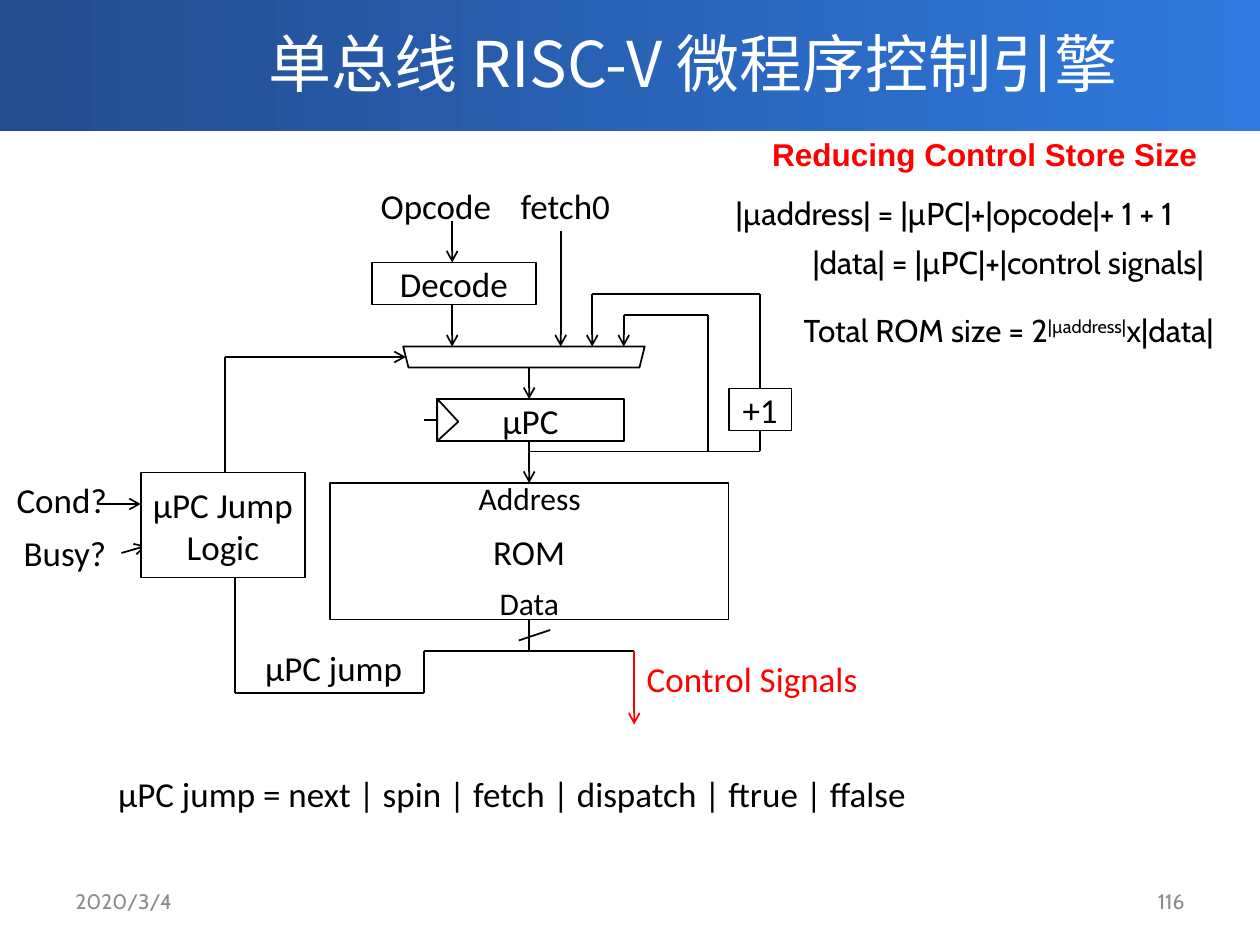
from dataclasses import dataclass
from itertools import pairwise

from lxml.etree import SubElement
from pptx import Presentation
from pptx.dml.color import RGBColor
from pptx.enum.shapes import MSO_CONNECTOR, MSO_SHAPE
from pptx.enum.text import MSO_ANCHOR, MSO_AUTO_SIZE, PP_ALIGN
from pptx.oxml.ns import qn
from pptx.util import Pt

STRAIGHT = MSO_CONNECTOR.STRAIGHT
RECTANGLE, TRAPEZOID = MSO_SHAPE.RECTANGLE, MSO_SHAPE.TRAPEZOID
TRIANGLE = MSO_SHAPE.ISOSCELES_TRIANGLE
MIDDLE, GROW = MSO_ANCHOR.MIDDLE, MSO_AUTO_SIZE.SHAPE_TO_FIT_TEXT
LEFT, CENTER, RIGHT = PP_ALIGN.LEFT, PP_ALIGN.CENTER, PP_ALIGN.RIGHT


@dataclass(frozen=True)
class Theme:
    """Colours, fonts and type sizes of the slide."""
    ink: str = "000000"
    paper: str = "FFFFFF"
    accent: str = "FF0000"
    muted: str = "8C8C8C"
    band: tuple = ("234B8D", "2F7ADF")
    title_font: str = "Noto Sans CJK SC"
    diagram_font: str = "Calibri"
    formula_font: str = "Cabin"
    heading_font: str = "Arial"
    title_size: int = 36
    label_size: int = 20
    small_size: int = 18
    footer_size: int = 12
    line_width: int = 1


THEME = Theme()


@dataclass(frozen=True)
class Box:
    """A region in points."""
    x: float
    y: float
    w: float
    h: float

    def inside(self, x, y, w, h):
        """Return a frame, given relative to this box, as slide lengths."""
        return Pt(self.x + x), Pt(self.y + y), Pt(w), Pt(h)


def apply(target, values):
    """Set every attribute in values on target."""
    for attribute, value in values.items():
        setattr(target, attribute, value)


def write(frame, pieces, font, size, color=THEME.ink, align=LEFT, bold=False, **layout):
    """Write (text, baseline) pieces as one paragraph."""
    apply(frame, layout)
    paragraph = frame.paragraphs[0]
    paragraph.alignment = align
    for text, baseline in pieces:
        run = paragraph.add_run()
        run.text = text
        apply(run.font, {"name": font, "size": Pt(size), "bold": bold})
        run.font.color.rgb = RGBColor.from_string(color)
        properties = run._r.get_or_add_rPr()
        SubElement(properties, qn("a:ea"), typeface=font)
        if baseline:
            properties.set("baseline", str(baseline * 1000))


def add_label(slide, frame, pieces, font, size, **style):
    """Add a text box, growing on one line unless the style says otherwise."""
    label = slide.shapes.add_textbox(*frame)
    layout = {"word_wrap": False, "auto_size": GROW} | style
    write(label.text_frame, pieces, font, size, **layout)


def add_block(slide, frame, text="", preset=RECTANGLE, rotation=0):
    """Add an outlined diagram block with centred text and return it."""
    block = slide.shapes.add_shape(preset, *frame)
    block.shadow.inherit = False
    block.rotation = rotation
    block.fill.solid()
    block.fill.fore_color.rgb = RGBColor.from_string(THEME.paper)
    block.line.color.rgb = RGBColor.from_string(THEME.ink)
    block.line.width = Pt(THEME.line_width)
    if text:
        margins = {f"margin_{side}": 0 for side in ("left", "top", "right", "bottom")}
        write(block.text_frame, [(text, 0)], THEME.diagram_font, THEME.label_size,
              align=CENTER, vertical_anchor=MIDDLE, word_wrap=True, **margins)
    return block


def add_wire(slide, box, points, arrow=False, color=THEME.ink):
    """Join points with straight connectors, with an optional arrowhead at the end."""
    for (x1, y1), (x2, y2) in pairwise(points):
        wire = slide.shapes.add_connector(
            STRAIGHT, Pt(box.x + x1), Pt(box.y + y1), Pt(box.x + x2), Pt(box.y + y2))
        wire.line.color.rgb = RGBColor.from_string(color)
        wire.line.width = Pt(THEME.line_width)
        if arrow and (x2, y2) == points[-1]:
            SubElement(wire.line._get_or_add_ln(), qn("a:tailEnd"), type="arrow")
        SubElement(wire._element.spPr, qn("a:effectLst"))


def add_header(slide, box):
    """Draw the gradient band and the slide title."""
    band = slide.shapes.add_shape(RECTANGLE, *box.inside(0, 0, box.w, box.h))
    band.shadow.inherit = False
    band.line.fill.background()
    band.fill.gradient()
    band.fill.gradient_angle = 0
    for stop, color in zip(band.fill.gradient_stops, THEME.band):
        stop.color.rgb = RGBColor.from_string(color)
    add_label(slide, box.inside(72, 2, box.w - 72, 71.3), [("单总线 RISC-V 微程序控制引擎", 0)],
              THEME.title_font, THEME.title_size, color=THEME.paper, align=CENTER,
              vertical_anchor=MIDDLE, word_wrap=True, auto_size=MSO_AUTO_SIZE.NONE)


def add_engine(slide, box):
    """Draw the microprogrammed control engine."""
    plain_wires = [
        [(247.5, 138), (240, 138)],
        [(300, 252), (300, 270)],
        [(294, 264), (312, 258)],
        [(360, 270), (240, 270), (240, 294), (132, 294), (132, 228)],
        [(300, 156), (432, 156), (432, 144)],
    ]
    arrow_wires = [
        [(256, 24), (256, 48)],
        [(256, 72), (256, 96)],
        [(318, 30), (318, 96)],
        [(300, 108), (300, 126)],
        [(300, 150), (300, 174)],
        [(54, 186), (78, 186)],
        [(67, 214), (81, 210)],
        [(432, 120), (432, 66), (336, 66), (336, 96)],
        [(402, 156), (402, 78), (354, 78), (354, 96)],
    ]
    for points in plain_wires:
        add_wire(slide, box, points)
    for points in arrow_wires:
        add_wire(slide, box, points, arrow=True)
    add_wire(slide, box, [(360, 270), (360, 312)], arrow=True, color=THEME.accent)

    blocks = [
        ("µPC", 247.5, 126, 106.5, 24),
        ("Decode", 210, 48, 94, 24),
        ("ROM", 186, 174, 228, 78),
        ("+1", 414, 120, 36, 24),
        ("µPC Jump Logic", 78, 168, 94, 60),
    ]
    for text, *frame in blocks:
        add_block(slide, box.inside(*frame), text)
    add_block(slide, box.inside(228, 96, 138, 12), preset=TRAPEZOID, rotation=180)
    clock = add_block(slide, box.inside(241.5, 132, 24, 12), preset=TRIANGLE, rotation=90)
    clock.adjustments[0] = 0.54
    add_wire(slide, box, [(126, 168), (126, 102), (229.5, 102)], arrow=True)

    labels = [
        ("Opcode", 208, 0, 78.5, THEME.label_size, THEME.ink),
        ("fetch0", 288, 0, 67, THEME.label_size, THEME.ink),
        ("Cond?", 0, 168, 66, THEME.label_size, THEME.ink),
        ("Busy?", 4, 198, 62.5, THEME.label_size, THEME.ink),
        ("Address", 264, 168, 74, THEME.small_size, THEME.ink),
        ("Data", 276, 228, 49, THEME.small_size, THEME.ink),
        ("µPC jump", 142, 264, 93.5, THEME.label_size, THEME.ink),
        ("Control Signals", 360, 270, 137, THEME.label_size, THEME.accent),
        ("µPC jump = next | spin | fetch | dispatch | ftrue | ffalse",
         58, 336, 470, THEME.label_size, THEME.ink),
    ]
    for text, x, y, width, size, color in labels:
        add_label(slide, box.inside(x, y, width, size * 1.6), [(text, 0)],
                  THEME.diagram_font, size, color=color)


def add_formulas(slide, box):
    """Write the control store heading and its size formulas."""
    add_label(slide, box.inside(57, 0, 269, 29), [("Reducing Control Store Size", 0)],
              THEME.heading_font, THEME.small_size, color=THEME.accent, bold=True)
    formulas = [
        ([("|µaddress| = |µPC|+|opcode|+ 1 + 1", 0)], 0, 34, 360,
         {"word_wrap": True, "margin_left": Pt(43.2)}),
        ([("|data| = |µPC|+|control signals|", 0)], 80, 62, 279, {}),
        ([("Total ROM size = 2", 0), ("|µaddress|", 30), ("x|data|", 0)], 75, 101, 277, {}),
    ]
    for pieces, x, y, width, style in formulas:
        add_label(slide, box.inside(x, y, width, 29), pieces,
                  THEME.formula_font, THEME.small_size, **style)


def add_footer(slide, box):
    """Write the date and the page number at the two ends of the box."""
    width = 168
    for text, x, align in (("2020/3/4", 0, LEFT), ("116", box.w - width, RIGHT)):
        add_label(slide, box.inside(x, 0, width, box.h), [(text, 0)], THEME.formula_font,
                  THEME.footer_size, color=THEME.muted, align=align, vertical_anchor=MIDDLE,
                  word_wrap=True, auto_size=MSO_AUTO_SIZE.NONE)


def main():
    """Build the slide and save it."""
    deck = Presentation()
    apply(deck, {"slide_width": Pt(720), "slide_height": Pt(540)})
    slide = deck.slides.add_slide(deck.slide_layouts[6])
    add_header(slide, Box(0, -2, 720, 77))
    add_engine(slide, Box(2.4, 102, 528, 368))
    add_formulas(slide, Box(377.2, 73.4, 360, 130))
    add_footer(slide, Box(36, 500.4, 648, 28.8))
    deck.save("out.pptx")


if __name__ == "__main__":
    main()
